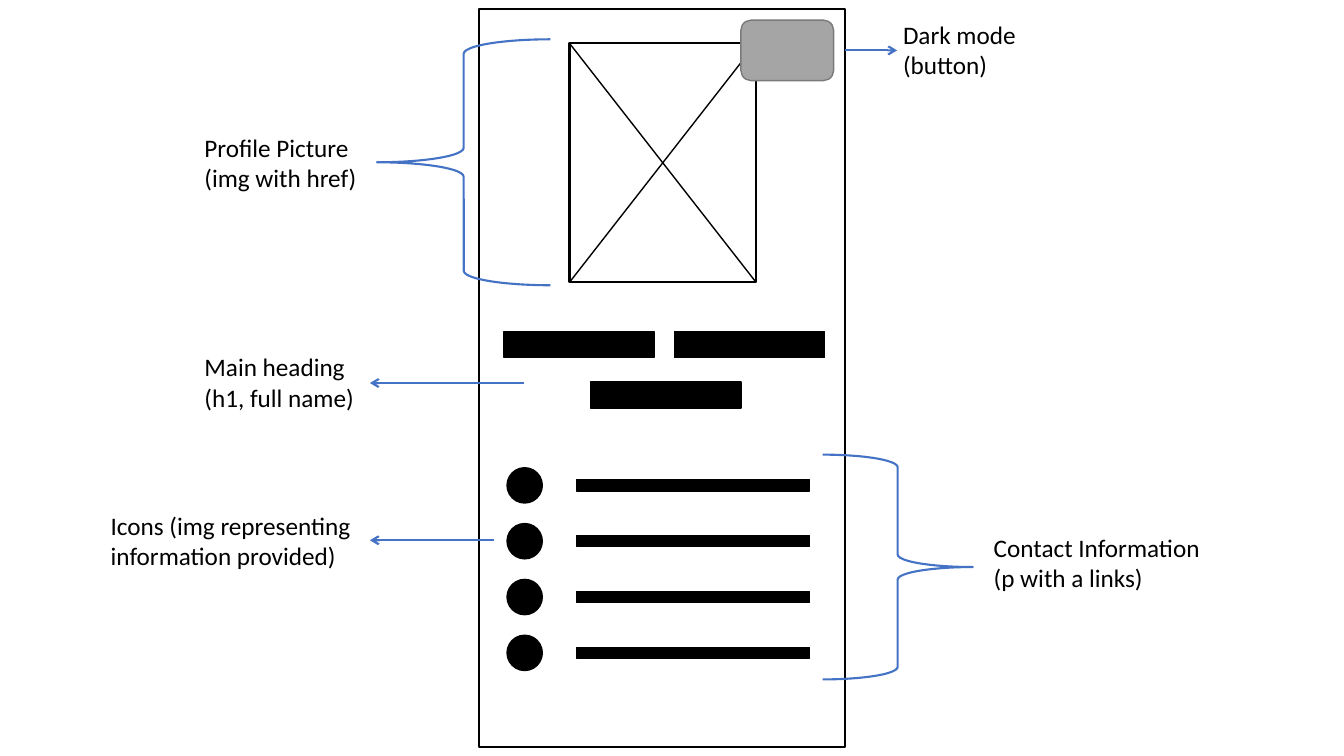
from dataclasses import dataclass

from lxml import etree
from pptx import Presentation
from pptx.dml.color import RGBColor
from pptx.enum.shapes import MSO_CONNECTOR, MSO_SHAPE
from pptx.enum.text import MSO_AUTO_SIZE
from pptx.oxml.ns import qn
from pptx.util import Emu, Inches, Pt

RECT = MSO_SHAPE.RECTANGLE
ROUNDED = MSO_SHAPE.ROUNDED_RECTANGLE
CIRCLE = MSO_SHAPE.OVAL
BRACE = MSO_SHAPE.LEFT_BRACE
STRAIGHT = MSO_CONNECTOR.STRAIGHT
FIT_TEXT = MSO_AUTO_SIZE.SHAPE_TO_FIT_TEXT

BLACK = RGBColor(0x00, 0x00, 0x00)
BLUE = RGBColor(0x44, 0x72, 0xC4)
GRAY = RGBColor(0xA5, 0xA5, 0xA5)
DARK_GRAY = RGBColor(0x7A, 0x7A, 0x7A)

SLIDE_W, SLIDE_H = Inches(13.333), Inches(7.5)
GRID_ROWS = 75
CELL = SLIDE_H / GRID_ROWS


@dataclass(frozen=True)
class Box:
    col: float
    row: float
    cols: float
    rows: float

    @property
    def right(self) -> float:
        return self.col + self.cols

    @property
    def bottom(self) -> float:
        return self.row + self.rows

    def emu(self) -> list[Emu]:
        return [cells(n) for n in (self.col, self.row, self.cols, self.rows)]


@dataclass(frozen=True)
class Label:
    text: str
    box: Box


@dataclass(frozen=True)
class Arrow:
    start: float
    end: float
    row: float


def cells(n: float) -> Emu:
    return Emu(round(n * CELL))


def add_box(s, kind, box: Box, fill=None, line=BLACK, width=1.0, rotation=0):
    sp = s.shapes.add_shape(kind, *box.emu())
    sp.shadow.inherit = False
    sp.rotation = rotation
    if fill is None:
        sp.fill.background()
    else:
        sp.fill.solid()
        sp.fill.fore_color.rgb = fill
    sp.line.color.rgb = line
    sp.line.width = Pt(width)


def add_line(s, x1: float, y1: float, x2: float, y2: float,
             color=BLACK, width=1.0, arrow=False):
    cx = s.shapes.add_connector(STRAIGHT, *map(cells, (x1, y1, x2, y2)))
    cx.line.color.rgb = color
    cx.line.width = Pt(width)
    if arrow:
        ln = cx.line._get_or_add_ln()
        etree.SubElement(ln, qn("a:tailEnd"), type="arrow")
    etree.SubElement(cx._element.spPr, qn("a:effectLst"))


def add_text(s, text: str, box: Box, size=18, font="Calibri", color=BLACK):
    tf = s.shapes.add_textbox(*box.emu()).text_frame
    tf.word_wrap = True
    tf.auto_size = FIT_TEXT
    tf.text = text
    for p in tf.paragraphs:
        for r in p.runs:
            r.font.size = Pt(size)
            r.font.name = font
            r.font.color.rgb = color


PAGE = Box(47.5, 0.9, 36.3, 73.2)
PHOTO = Box(56.5, 4.3, 18.5, 23.7)
DARK_MODE = Box(73.5, 2, 9.2, 6)
PHOTO_BRACE = Box(37.4, 3.9, 17.2, 24.4)
CONTACT_BRACE = Box(81.6, 45.1, 14.9, 22.3)

HEADING_BARS = [Box(col, row, 14.9, 2.6)
                for col, row in ((50, 32.9), (66.9, 32.9), (58.6, 37.9))]

CONTACT_COUNT, CONTACT_TOP, CONTACT_PITCH = 4, 46.4, 5.54
ICON_COL, ICON_SIZE = 50.3, 3.5
BAR_COL, BAR_COLS, BAR_ROWS = 57.2, 23.1, 1.1

LABEL_ROWS = 7.1
LABELS = [
    Label("Profile Picture\n(img with href)", Box(19.3, 12.6, 18.1, LABEL_ROWS)),
    Label("Main heading (h1, full name)", Box(19.3, 34.4, 18.1, LABEL_ROWS)),
    Label("Icons (img representing information provided)",
          Box(10, 50.1, 26.7, LABEL_ROWS)),
    Label("Contact Information (p with a links)", Box(97.6, 52.3, 24.9, LABEL_ROWS)),
    Label("Dark mode\n(button)", Box(88.6, 1.4, 14.9, LABEL_ROWS)),
]
ARROWS = [Arrow(52, 36.7, 38), Arrow(49, 36.7, 53.6), Arrow(PAGE.right, 89, 5)]

prs = Presentation()
prs.slide_width, prs.slide_height = SLIDE_W, SLIDE_H
s = prs.slides.add_slide(prs.slide_layouts[6])

add_box(s, RECT, PHOTO, width=1.5)
add_line(s, PHOTO.col, PHOTO.bottom, PHOTO.right, PHOTO.row)
add_line(s, PHOTO.right, PHOTO.bottom, PHOTO.col, PHOTO.row)
add_box(s, RECT, PAGE, width=1.5)

for bar in HEADING_BARS:
    add_box(s, RECT, bar, fill=BLACK)

for i in range(CONTACT_COUNT):
    row = CONTACT_TOP + i * CONTACT_PITCH
    bar_row = row + (ICON_SIZE - BAR_ROWS) / 2
    add_box(s, CIRCLE, Box(ICON_COL, row, ICON_SIZE, ICON_SIZE), fill=BLACK)
    add_box(s, RECT, Box(BAR_COL, bar_row, BAR_COLS, BAR_ROWS), fill=BLACK)

add_box(s, BRACE, PHOTO_BRACE, line=BLUE, width=1.5)
add_box(s, BRACE, CONTACT_BRACE, line=BLUE, width=1.5, rotation=180)
add_box(s, ROUNDED, DARK_MODE, fill=GRAY, line=DARK_GRAY)

for a in ARROWS:
    add_line(s, a.start, a.row, a.end, a.row, color=BLUE, width=1.5, arrow=True)
for label in LABELS:
    add_text(s, label.text, label.box)

prs.save("out.pptx")
